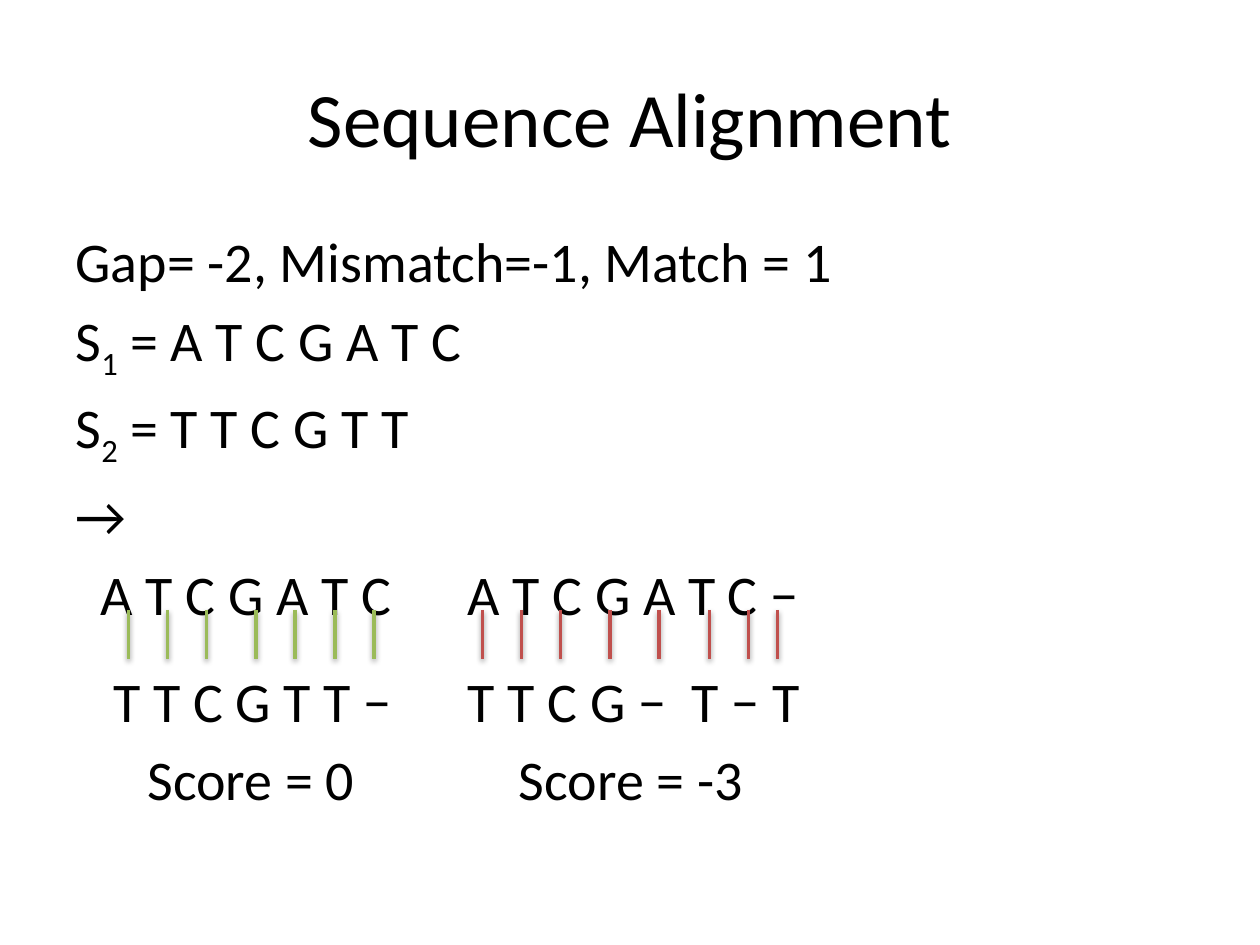
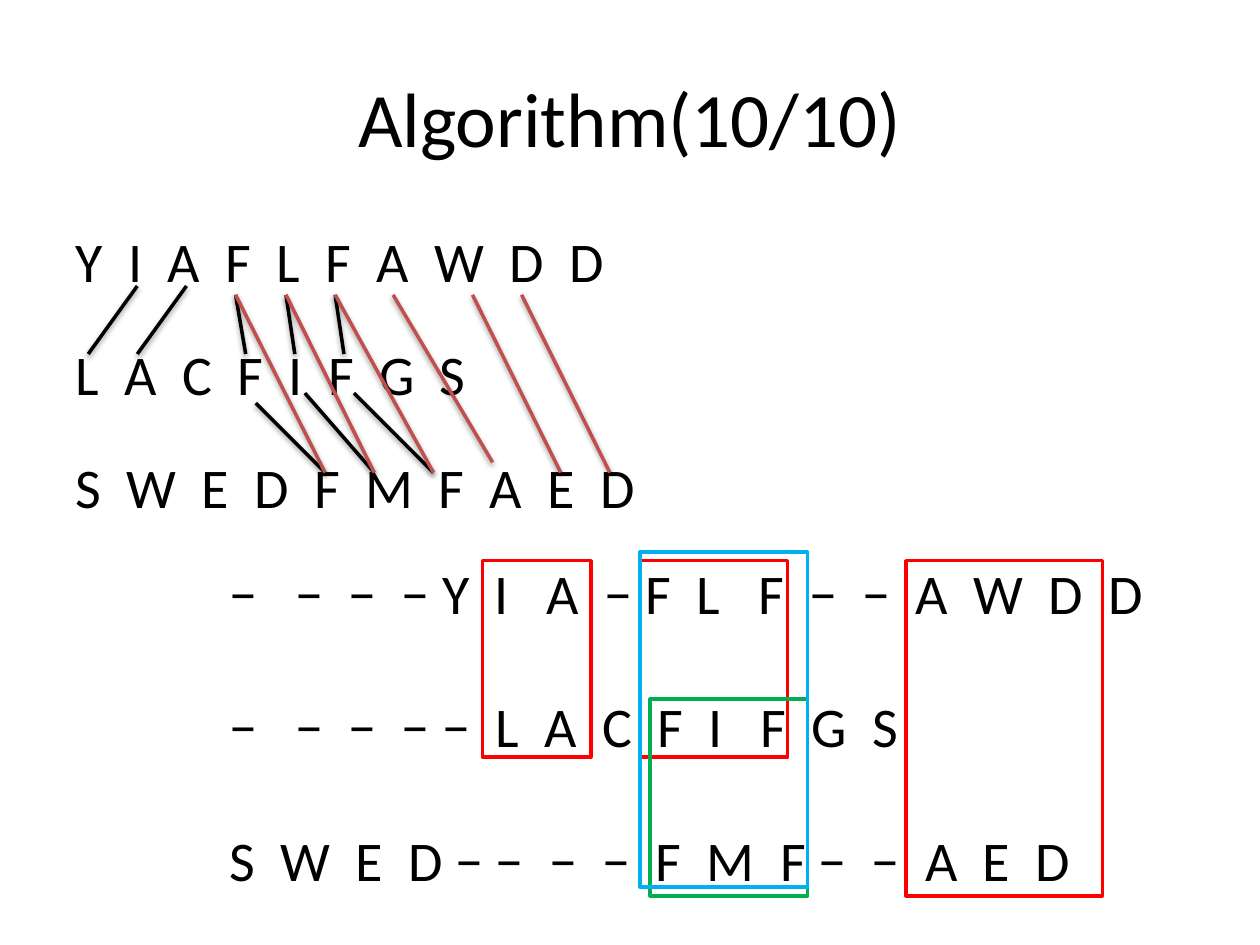
from pptx import Presentation
from pptx.dml.color import RGBColor
from pptx.enum.shapes import MSO_CONNECTOR, MSO_SHAPE
from pptx.oxml.ns import qn
from pptx.util import Inches, Pt
from lxml import etree

STRAIGHT = MSO_CONNECTOR.STRAIGHT
RECTANGLE = MSO_SHAPE.RECTANGLE

BLACK = RGBColor(0x00, 0x00, 0x00)
WHITE = RGBColor(0xFF, 0xFF, 0xFF)
GREEN = RGBColor(0x9B, 0xBB, 0x59)
BRICK = RGBColor(0xC0, 0x50, 0x4D)
FRAME_RED = RGBColor(0xFF, 0x00, 0x00)
FRAME_GREEN = RGBColor(0x00, 0xB0, 0x50)
FRAME_BLUE = RGBColor(0x00, 0xB0, 0xF0)

FONT = "Calibri"
TITLE_SIZE = 44
TEXT_SIZE = 32
SPACE_WIDTH = 0.226 * TEXT_SIZE  # width of one space, in points
LINE_WIDTH = Pt(2)


def write_paragraph(box, parts, indent=0, space=None):
    """Add an unbulleted paragraph; a number is a gap, a digit string a subscript."""
    frame = box.text_frame
    first = not frame.paragraphs[0].runs
    para = frame.paragraphs[0] if first else frame.add_paragraph()
    properties = para._p.get_or_add_pPr()
    properties.set("marL", str(Inches(indent)))
    properties.set("indent", "0")
    etree.SubElement(properties, qn("a:buNone"))
    if first:
        para.space_before = Pt(0)
    elif space is not None:
        para.space_before = Pt(space)
    for part in parts:
        span = para.add_run()
        span.font.name = FONT
        span.font.size = Pt(TEXT_SIZE)
        span.font.color.rgb = BLACK
        if isinstance(part, int):
            # One space, widened by letter spacing to the given number of spaces
            span.text = " "
            span._r.get_or_add_rPr().set("spc", str(round((part - 1) * SPACE_WIDTH * 100)))
        else:
            span.text = part
            if part.isdigit():
                span._r.get_or_add_rPr().set("baseline", "-25000")


def draw_line(page, start, end, color):
    """Draw a straight line; its soft shadow comes from the theme."""
    line = page.shapes.add_connector(
        STRAIGHT, *(Inches(value) for value in start + end))
    line.line.color.rgb = color
    line.line.width = LINE_WIDTH


deck = Presentation()
deck.slide_width = Inches(10)
deck.slide_height = Inches(7.5)

# Both pages: title and body
pages = []
for heading, body_height in (("Sequence Alignment", 4.95), ("Algorithm(10/10)", 5.44)):
    page = deck.slides.add_slide(deck.slide_layouts[1])
    title, body = page.placeholders
    title.left, title.top = Inches(0.5), Inches(0.3)
    title.width, title.height = Inches(9), Inches(1.25)
    span = title.text_frame.paragraphs[0].add_run()
    span.text = heading
    span.font.name = FONT
    span.font.size = Pt(TITLE_SIZE)
    span.font.color.rgb = BLACK
    body.left, body.top = Inches(0.5), Inches(1.75)
    body.width, body.height = Inches(9), Inches(body_height)
    pages.append((page, body))

# Page 1: scores, sequences and two alignments side by side
page, body = pages[0]
alignment_rows = [
    (["Gap= -2, Mismatch=-1, Match = 1"], 0, None),
    (["S", "1", " = A T C G A T C"], 0, None),
    (["S", "2", " = T T C G T T"], 0, None),
    (["→"], 0, None),
    (["A T C G A T C", 6, "A T C G A T C −"], 0.2, None),
    (["T T C G T T −", 6, "T T C G −", 2, "T − T"], 0.3, 23),
    (["Score = 0", 13, "Score = -3"], 0.57, None),
]
for parts, indent, space in alignment_rows:
    write_paragraph(body, parts, indent, space)

# Page 1: ticks between the aligned letters
tick_groups = [
    (GREEN, (1.02, 1.33, 1.64, 2.03, 2.34, 2.66, 2.97)),
    (BRICK, (3.83, 4.14, 4.45, 4.84, 5.23, 5.63, 5.94, 6.17)),
]
for color, positions in tick_groups:
    for x in positions:
        draw_line(page, (x, 4.84), (x, 5.23), color)

# Page 2: links between the three sequences
page, body = pages[1]
links = [
    (BLACK, [((1.87, 2.34), (1.95, 2.81)), ((2.27, 2.34), (2.34, 2.81)),
             ((2.66, 2.34), (2.73, 2.81)), ((2.03, 3.2), (2.58, 3.75)),
             ((2.42, 3.12), (2.97, 3.75)), ((2.81, 3.12), (3.44, 3.75)),
             ((1.09, 2.27), (0.7, 2.81)), ((1.48, 2.27), (1.09, 2.81))]),
    (BRICK, [((1.87, 2.34), (2.58, 3.75)), ((2.27, 2.34), (2.97, 3.75)),
             ((2.66, 2.34), (3.44, 3.75)), ((3.12, 2.34), (3.91, 3.67)),
             ((3.75, 2.34), (4.45, 3.75)), ((4.14, 2.34), (4.84, 3.75))]),
]
for color, ends in links:
    for start, end in ends:
        draw_line(page, start, end, color)

# Page 2: box for the aligned result
result = page.shapes.add_textbox(Inches(1.72), Inches(4.38), Inches(7.5), Inches(2.79))
result.text_frame.word_wrap = True
result.fill.solid()
result.fill.fore_color.rgb = WHITE

# Page 2: letters of each row, with the gap after each letter in spaces
sequence_rows = [
    (body, "YIAFLFAWDD", "2" * 9, 26),
    (body, "LACFIFGS", "2" * 7, 26),
    (body, "SWEDFMFAED", "2" * 9, 26),
    (result, "−−−−YIA−FLF−−AWDD", "3221232123222222", 38),
    (result, "−−−−−LACFIFGS", "322122222322", 38),
    (result, "SWED−−−−FMF−−AED", "222112222212222", 38),
]
for box, letters, gaps, space in sequence_rows:
    parts = [letters[0]]
    for gap, letter in zip(gaps, letters[1:]):
        parts += [int(gap), letter]
    write_paragraph(box, parts, space=space)

# Page 2: frames around the matching blocks
frames = [
    (FRAME_RED, 3.83, 4.45, 0.86, 1.56),
    (FRAME_RED, 5.08, 4.45, 1.17, 1.56),
    (FRAME_RED, 7.19, 4.45, 1.56, 2.66),
    (FRAME_GREEN, 5.16, 5.55, 1.25, 1.56),
    (FRAME_BLUE, 5.08, 4.38, 1.33, 2.66),
]
for color, *place in frames:
    block = page.shapes.add_shape(RECTANGLE, *(Inches(value) for value in place))
    block.shadow.inherit = False
    block.fill.background()
    block.line.color.rgb = color
    block.line.width = LINE_WIDTH

deck.save("out.pptx")
